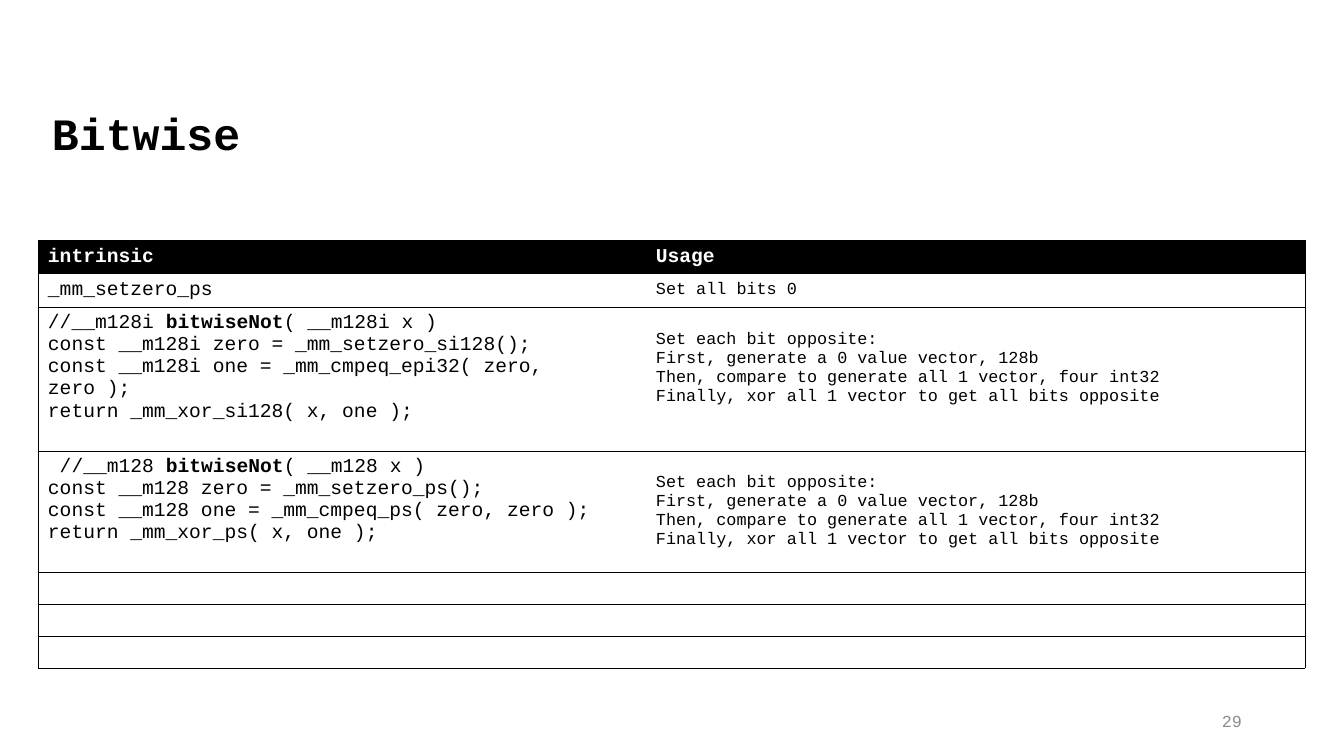
from dataclasses import dataclass

from lxml import etree
from pptx import Presentation
from pptx.dml.color import RGBColor
from pptx.enum.text import MSO_ANCHOR, MSO_AUTO_SIZE, PP_ALIGN
from pptx.oxml.ns import qn
from pptx.util import Emu, Pt

TOP, MIDDLE = MSO_ANCHOR.TOP, MSO_ANCHOR.MIDDLE
LEFT, RIGHT = PP_ALIGN.LEFT, PP_ALIGN.RIGHT
NO_AUTOFIT = MSO_AUTO_SIZE.NONE
TITLE_ONLY = 5
EMU_PER_PX = 914400 / 100.8


@dataclass(frozen=True)
class Theme:
    font: str = "Courier New"
    black: str = "000000"
    white: str = "FFFFFF"
    gray: str = "8C8C8C"
    title: int = 32
    code: int = 14
    note: int = 12
    rule: float = 0.5


THEME = Theme()

COLUMNS = [608, 659]
ROW_HEIGHTS = [32, 32, 144, 121, 32, 32, 32]
NOT_USAGE = [
    "Set each bit opposite:",
    "First, generate a 0 value vector, 128b",
    "Then, compare to generate all 1 vector, four int32",
    "Finally, xor all 1 vector to get all bits opposite",
]
# A line is a string, or a list of strings in which every second one is bold.
INTRINSICS = [
    (["_mm_setzero_ps"], ["Set all bits 0"]),
    ([["//__m128i ", "bitwiseNot", "( __m128i x )"],
      "const __m128i zero = _mm_setzero_si128();",
      "const __m128i one = _mm_cmpeq_epi32( zero, zero );",
      "return _mm_xor_si128( x, one );"], NOT_USAGE),
    ([[" //__m128 ", "bitwiseNot", "( __m128 x )"],
      "const __m128 zero = _mm_setzero_ps();",
      "const __m128 one = _mm_cmpeq_ps( zero, zero );",
      "return _mm_xor_ps( x, one );"], NOT_USAGE),
]


def px(n):
    return Emu(round(n * EMU_PER_PX))


def add_run(p, text, size, color=THEME.black, bold=False):
    r = p.add_run()
    r.text = text
    r.font.name = THEME.font
    r.font.size = Pt(size)
    r.font.bold = bold
    r.font.color.rgb = RGBColor.from_string(color)


def write_lines(tf, lines, size):
    for i, line in enumerate(lines):
        p = tf.paragraphs[0] if i == 0 else tf.add_paragraph()
        parts = [line] if isinstance(line, str) else line
        for j, part in enumerate(parts):
            add_run(p, part, size, bold=j % 2 == 1)


def set_borders(cell, drawn):
    """Rule the sides named in drawn (L, R, T, B) and clear the others."""
    tc_pr = cell._tc.get_or_add_tcPr()
    for side in "LRTB":
        ln = etree.SubElement(tc_pr, qn(f"a:ln{side}"), w=str(Pt(THEME.rule)))
        if side in drawn:
            fill = etree.SubElement(ln, qn("a:solidFill"))
            etree.SubElement(fill, qn("a:srgbClr"), val=THEME.black)
        else:
            etree.SubElement(ln, qn("a:noFill"))


def format_cell(cell, column, fill):
    set_borders(cell, "LTB" if column == 0 else "RTB")
    cell.fill.solid()
    cell.fill.fore_color.rgb = RGBColor.from_string(fill)
    cell.margin_left = px(10)
    cell.margin_right = px(20)
    cell.margin_top = cell.margin_bottom = px(5)
    cell.vertical_anchor = MIDDLE
    end = cell.text_frame.paragraphs[0]._p.get_or_add_endParaRPr()
    end.set("sz", str(THEME.note * 100))


def add_title(s, text):
    title = s.shapes.title
    title.left, title.top, title.width, title.height = map(px, (42, 92, 672, 64))
    tf = title.text_frame
    tf.auto_size = NO_AUTOFIT
    tf.vertical_anchor = TOP
    tf.margin_left, tf.margin_top = px(10), px(14)
    p = tf.paragraphs[0]
    p.alignment = LEFT
    add_run(p, text, THEME.title, bold=True)


def add_intrinsics_table(s):
    frame = s.shapes.add_table(len(ROW_HEIGHTS), len(COLUMNS), px(38), px(240),
                               px(sum(COLUMNS)), px(sum(ROW_HEIGHTS)))
    table = frame.table
    table.first_row = table.horz_banding = False
    for column, width in zip(table.columns, COLUMNS):
        column.width = px(width)
    for i, height in enumerate(ROW_HEIGHTS):
        table.rows[i].height = px(height)
        for j in range(len(COLUMNS)):
            format_cell(table.cell(i, j), j, THEME.white if i else THEME.black)

    for j, heading in enumerate(["intrinsic", "Usage"]):
        p = table.cell(0, j).text_frame.paragraphs[0]
        add_run(p, heading, THEME.code, THEME.white, bold=True)
    for i, (code, usage) in enumerate(INTRINSICS, start=1):
        code_cell, usage_cell = table.cell(i, 0), table.cell(i, 1)
        write_lines(code_cell.text_frame, code, THEME.code)
        write_lines(usage_cell.text_frame, usage, THEME.note)
        if len(code) > 1:
            code_cell.vertical_anchor = TOP
    table.cell(2, 1).margin_bottom = px(25)


def add_page_number(s, number):
    tf = s.shapes.add_textbox(px(950), px(701), px(302), px(40)).text_frame
    tf.word_wrap = True
    tf.vertical_anchor = MIDDLE
    p = tf.paragraphs[0]
    p.alignment = RIGHT
    add_run(p, number, THEME.note, THEME.gray)


def main():
    prs = Presentation()
    prs.slide_width, prs.slide_height = px(1344), px(756)
    s = prs.slides.add_slide(prs.slide_layouts[TITLE_ONLY])
    add_page_number(s, "29")
    add_intrinsics_table(s)
    add_title(s, "Bitwise")
    prs.save("out.pptx")


if __name__ == "__main__":
    main()
